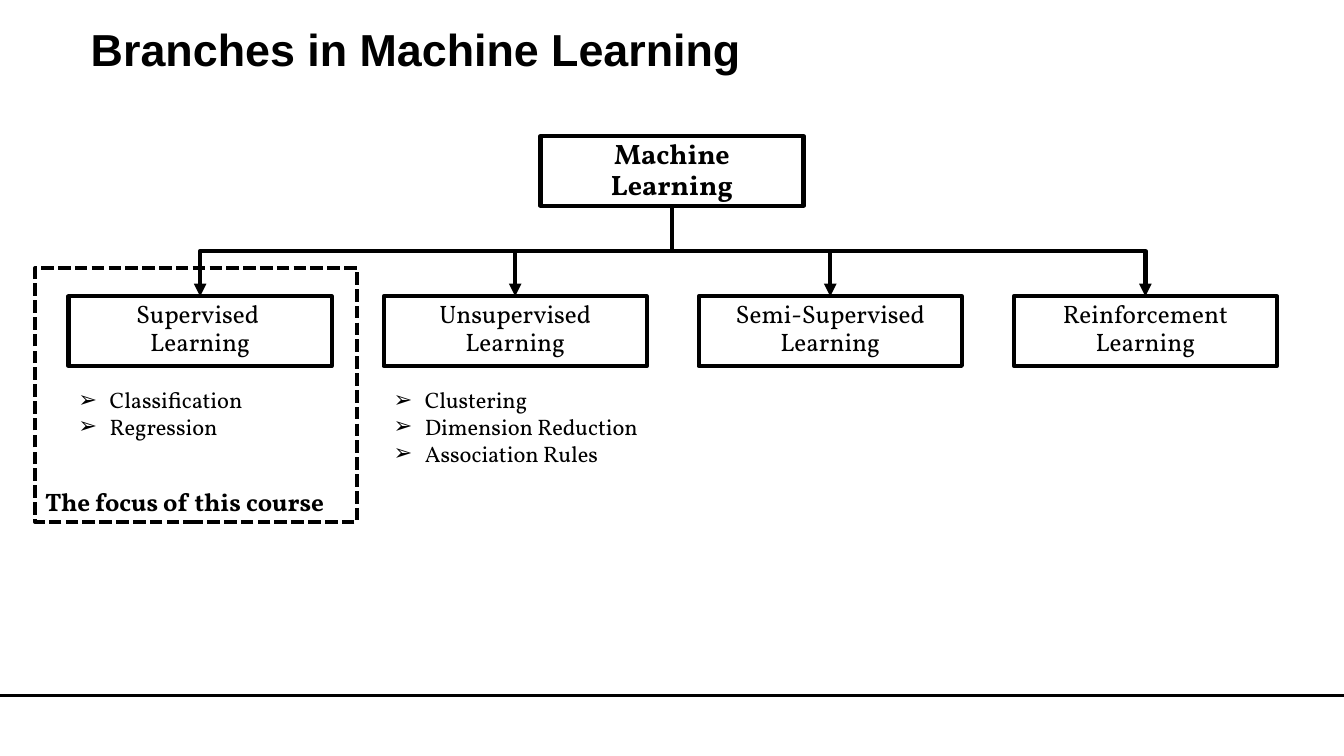
from lxml.etree import SubElement
from pptx import Presentation
from pptx.dml.color import RGBColor
from pptx.enum.dml import MSO_LINE
from pptx.enum.shapes import MSO_CONNECTOR, MSO_SHAPE
from pptx.enum.text import MSO_ANCHOR, MSO_AUTO_SIZE, PP_ALIGN
from pptx.oxml.ns import qn
from pptx.util import Inches, Pt

BLACK = RGBColor(0, 0, 0)
WHITE = RGBColor(255, 255, 255)
SERIF = "Vollkorn"

BOX_W, BOX_H = 2.61, 0.69
ROW_X, ROW_Y, STEP = 0.68, 2.94, 3.125
LIST_Y = 3.78

# Label of each branch, its topics, and the width and height of their list
BRANCHES = [
    ("Supervised \nLearning", ["Classification", "Regression"], 2.61, 0.64),
    ("Unsupervised Learning",
     ["Clustering", "Dimension Reduction", "Association Rules"], 2.72, 0.91),
    ("Semi-Supervised Learning", [], 0, 0),
    ("Reinforcement Learning", [], 0, 0),
]


def style(frame, size, bold=False, font=SERIF, align=PP_ALIGN.LEFT, space=None):
    frame.word_wrap = True
    for para in frame.paragraphs:
        para.alignment = align
        para.line_spacing = space
        for run in para.runs:
            run.font.name = font
            run.font.size = Pt(size)
            run.font.bold = bold
            run.font.color.rgb = BLACK


def add_title(slide, text):
    title = slide.shapes.title
    title.left, title.top = Inches(0.8), Inches(0.23)
    title.width, title.height = Inches(11.5), Inches(0.73)
    frame = title.text_frame
    frame.text = text
    frame.auto_size = MSO_AUTO_SIZE.NONE
    frame.vertical_anchor = MSO_ANCHOR.TOP
    style(frame, 32, True, "Arial", space=0.9)


def add_box(slide, x, y, w, h, text, anchor, size=18, bold=False,
            align=PP_ALIGN.CENTER, fill=WHITE):
    box = slide.shapes.add_shape(
        MSO_SHAPE.RECTANGLE, Inches(x), Inches(y), Inches(w), Inches(h))
    box.shadow.inherit = False
    if fill is None:
        box.fill.background()
    else:
        box.fill.solid()
        box.fill.fore_color.rgb = fill
    box.line.color.rgb = BLACK
    box.line.width = Pt(3)
    box.text_frame.text = text
    box.text_frame.vertical_anchor = anchor
    style(box.text_frame, size, bold, align=align, space=0.93)
    return box


def add_line(slide, kind, x1, y1, x2, y2, width):
    line = slide.shapes.add_connector(kind, x1, y1, x2, y2)
    line.line.color.rgb = BLACK
    line.line.width = Pt(width)
    SubElement(line._element.spPr, qn("a:effectLst"))
    return line


def add_elbow(slide, root, child):
    x1, y1 = root.left + root.width // 2, root.top + root.height
    x2, y2 = child.left + child.width // 2, child.top
    line = add_line(slide, MSO_CONNECTOR.ELBOW, x1, y1, x2, y2, 3)
    line.begin_connect(root, 2)
    line.end_connect(child, 0)
    # Turn the elbow so that it leaves downwards
    wide, high = abs(x2 - x1), y2 - y1
    line.left = (x1 + x2 - high) // 2
    line.top = (y1 + y2 - wide) // 2
    line.width, line.height = high, wide
    right = x2 > x1
    xfrm = line._element.spPr.find(qn("a:xfrm"))
    xfrm.set("rot", str((270 if right else 90) * 60000))
    xfrm.set("flipH", "1" if right else "0")
    # Arrowhead
    SubElement(line.line._get_or_add_ln(), qn("a:tailEnd"), type="triangle")


def add_list(slide, x, y, w, h, items):
    area = slide.shapes.add_textbox(Inches(x), Inches(y), Inches(w), Inches(h))
    frame = area.text_frame
    frame.text = "\n".join(items)
    frame.auto_size = MSO_AUTO_SIZE.SHAPE_TO_FIT_TEXT
    style(frame, 16)
    for para in frame.paragraphs:
        props = para._p.get_or_add_pPr()
        props.set("marL", str(Inches(0.31)))
        props.set("indent", str(-Inches(0.31)))
        SubElement(props, qn("a:buFont"), typeface="Arial")
        SubElement(props, qn("a:buChar"), char="➢")


def main():
    deck = Presentation()
    deck.slide_width, deck.slide_height = Inches(13.33), Inches(7.5)
    slide = deck.slides.add_slide(deck.slide_layouts[5])

    # Title and footer rule
    add_title(slide, "Branches in Machine Learning")
    foot = Inches(6.9)
    add_line(slide, MSO_CONNECTOR.STRAIGHT, 0, foot, deck.slide_width, foot, 2)

    # Tree of branches
    root = add_box(slide, 5.36, 1.35, BOX_W, BOX_H, "Machine Learning",
                   MSO_ANCHOR.MIDDLE, 20, True)
    for i, (label, items, wide, high) in enumerate(BRANCHES):
        x = ROW_X + i * STEP
        child = add_box(slide, x, ROW_Y, BOX_W, BOX_H, label, MSO_ANCHOR.TOP)
        add_elbow(slide, root, child)
        if items:
            add_list(slide, x, LIST_Y, wide, high, items)

    # Dashed frame around the focus
    focus = add_box(slide, 0.35, 2.66, 3.19, 2.52, "The focus of this course",
                    MSO_ANCHOR.BOTTOM, 18, True, PP_ALIGN.LEFT, None)
    focus.line.dash_style = MSO_LINE.SQUARE_DOT

    deck.save("out.pptx")


if __name__ == "__main__":
    main()
